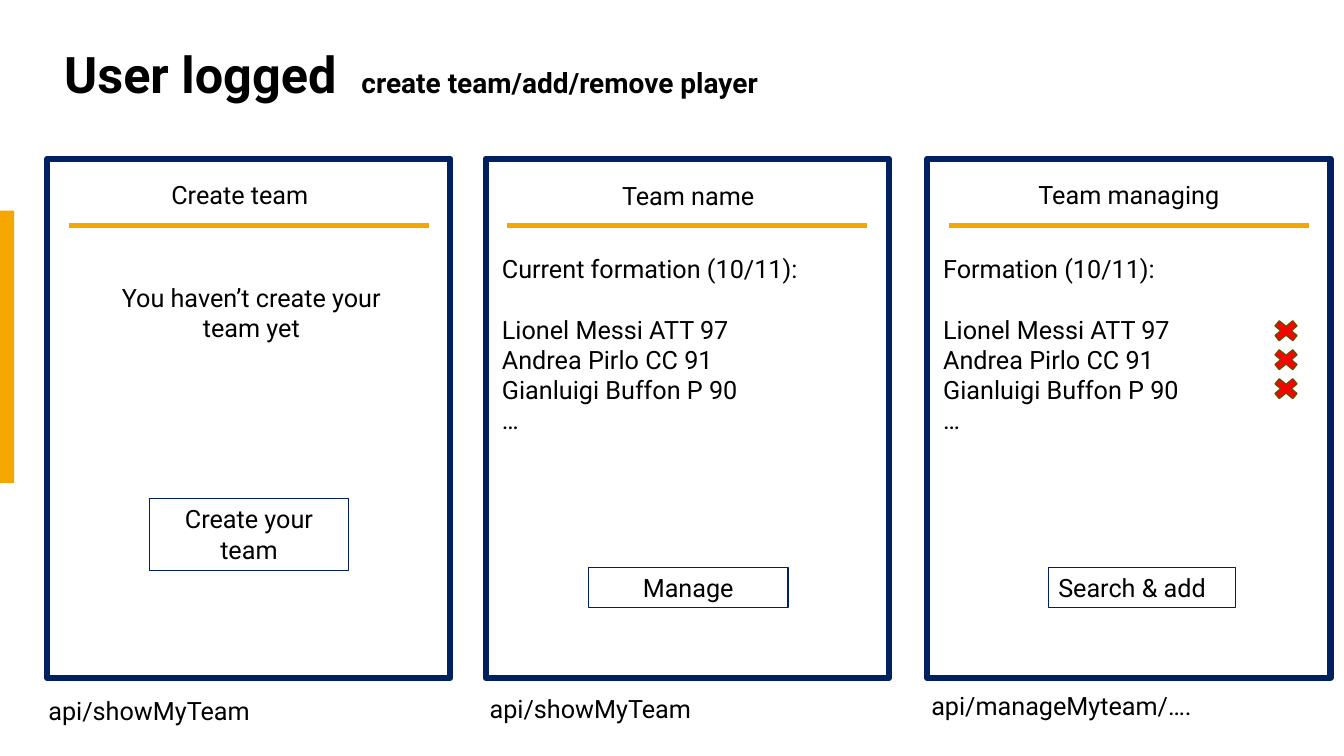
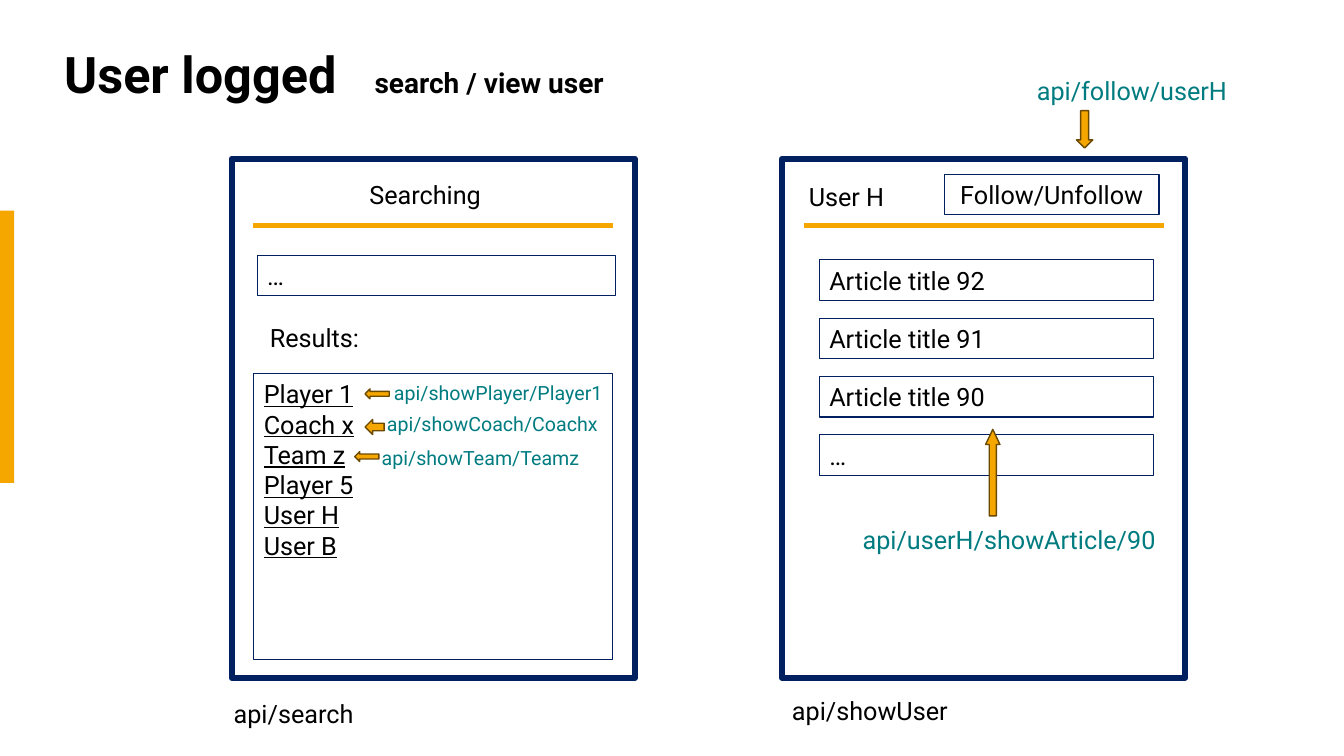
from dataclasses import dataclass

from lxml import etree
from pptx import Presentation
from pptx import util as u
from pptx.dml.color import RGBColor
from pptx.enum import shapes, text
from pptx.oxml.ns import qn


@dataclass(frozen=True)
class Theme:
    font: str = "Roboto"
    black: RGBColor = RGBColor(0x00, 0x00, 0x00)
    white: RGBColor = RGBColor(0xFF, 0xFF, 0xFF)
    navy: RGBColor = RGBColor(0x00, 0x20, 0x60)
    orange: RGBColor = RGBColor(0xF5, 0xA7, 0x00)
    brown: RGBColor = RGBColor(0x6B, 0x49, 0x00)
    red: RGBColor = RGBColor(0xFF, 0x00, 0x00)
    teal: RGBColor = RGBColor(0x00, 0x7C, 0x80)
    title: int = 36
    subtitle: int = 20
    body: int = 18
    small: int = 14


theme = Theme()
preset = shapes.MSO_SHAPE
left_aligned = text.PP_ALIGN.LEFT
centered = text.PP_ALIGN.CENTER


def add_figure(slide, kind, left, top, width, height, fill, line=None, weight=1):
    shape = slide.shapes.add_shape(kind, u.Cm(left), u.Cm(top), u.Cm(width), u.Cm(height))
    shape.shadow.inherit = False
    shape.fill.solid()
    shape.fill.fore_color.rgb = fill
    if line is None:
        shape.line.fill.background()
    else:
        shape.line.color.rgb = line
        shape.line.width = u.Pt(weight)
    return shape


def add_text(slide, left, top, width, lines, height=1.02, align=left_aligned,
             outlined=False, color=theme.black, size=theme.body, underline=None):
    box = slide.shapes.add_textbox(u.Cm(left), u.Cm(top), u.Cm(width), u.Cm(height))
    if outlined:
        box.line.color.rgb = theme.navy
        box.line.width = u.Pt(0.75)
    frame = box.text_frame
    frame.word_wrap = True
    frame.text = "\n".join(lines)
    for paragraph in frame.paragraphs:
        paragraph.alignment = align
        paragraph.font.name = theme.font
        paragraph.font.size = u.Pt(size)
        paragraph.font.color.rgb = color
        paragraph.font.underline = underline
    return frame


presentation = Presentation()
presentation.slide_width = u.Cm(33.87)
presentation.slide_height = u.Cm(19.05)

panel_top, panel_width, panel_height = 4.0, 10.16, 13.08
rule_inset, rule_drop = 0.54, 1.68

screens = [
    ("create team/add/remove player", 7.49, [
        (1.19, "Create team", 3.53, 4.39, 5.03, "api/showMyTeam", 0.97, 17.4),
        (12.24, "Team name", 15.29, 4.42, 4.11, "api/showMyTeam", 12.09, 17.35),
        (23.37, "Team managing", 25.58, 4.39, 5.74, "api/manageMyteam/….", 23.22, 17.27),
    ]),
    ("search / view user", 7.82, [
        (5.84, "Searching", 8.2, 4.39, 5.03, "api/search", 5.64, 17.48),
        (19.71, "User H", 19.05, 4.45, 4.57, "api/showUser", 19.71, 17.4),
    ]),
]

for subtitle, subtitle_tab, panels in screens:
    slide = presentation.slides.add_slide(presentation.slide_layouts[6])
    add_figure(slide, preset.RECTANGLE, 0, 5.31, 0.36, 6.86, theme.orange)

    title_box = slide.shapes.add_textbox(u.Cm(1.37), u.Cm(1.02), u.Cm(27.08), u.Cm(1.83))
    title_box.text_frame.word_wrap = True
    title_box.text_frame.vertical_anchor = text.MSO_ANCHOR.MIDDLE
    paragraph = title_box.text_frame.paragraphs[0]
    tabs = etree.SubElement(paragraph._p.get_or_add_pPr(), qn("a:tabLst"))
    etree.SubElement(tabs, qn("a:tab"), pos=str(u.Cm(subtitle_tab)), algn="l")
    paragraph.line_spacing = 0.9
    paragraph.font.name = theme.font
    paragraph.font.bold = True
    paragraph.font.color.rgb = theme.black
    for words, size in (("User logged\t", theme.title), (subtitle, theme.subtitle)):
        run = paragraph.add_run()
        run.text = words
        run.font.size = u.Pt(size)

    for (left, heading, heading_left, heading_top, heading_width,
         route, route_left, route_top) in panels:
        add_figure(slide, preset.RECTANGLE, left, panel_top, panel_width, panel_height,
                   theme.white, theme.navy, 4.5)
        rule_y = u.Cm(panel_top + rule_drop)
        rule = slide.shapes.add_connector(
            shapes.MSO_CONNECTOR.STRAIGHT, u.Cm(left + rule_inset), rule_y,
            u.Cm(left + panel_width - rule_inset), rule_y)
        rule.line.color.rgb = theme.orange
        rule.line.width = u.Pt(3)
        etree.SubElement(rule._element.spPr, qn("a:effectLst"))
        add_text(slide, heading_left, heading_top, heading_width, [heading], align=centered)
        add_text(slide, route_left, route_top, panel_width, [route])

team_slide, search_slide = presentation.slides

add_text(team_slide, 2.13, 6.98, 8.41, ["You haven’t create your team yet"],
         height=1.8, align=centered)
add_text(team_slide, 3.76, 12.57, 5.03, ["Create your team"],
         height=1.8, align=centered, outlined=True)
add_text(team_slide, 14.83, 14.3, 5.03, ["Manage"], align=centered, outlined=True)
add_text(team_slide, 26.42, 14.3, 4.72, ["Search & add"], outlined=True)

players = ["Lionel Messi ATT 97", "Andrea Pirlo CC 91", "Gianluigi Buffon P 90"]
for left, heading in ((12.4, "Current formation (10/11):"), (23.52, "Formation (10/11):")):
    frame = add_text(team_slide, left, 6.27, 8.41, [heading, *players, "…"], height=4.88)
    frame.paragraphs[1].space_before = u.Pt(21.5)
for row in range(len(players)):
    add_figure(team_slide, preset.MATH_MULTIPLY, 31.98, 7.98 + row * 0.73, 0.86, 0.71,
               theme.red, theme.brown)

add_text(search_slide, 6.48, 6.43, 9.04, ["…"], outlined=True)
add_text(search_slide, 5.41, 8.0, 5.03, ["Results:"], align=centered)
add_text(search_slide, 6.4, 9.42, 9.04,
         ["Player 1", "Coach x", "Team z", "Player 5", "User H", "User B"],
         height=7.19, outlined=True, underline=True)
for left, top, route in ((9.68, 9.47, "api/showPlayer/Player1"),
                         (9.5, 10.26, "api/showCoach/Coachx"),
                         (9.37, 11.1, "api/showTeam/Teamz")):
    add_text(search_slide, left, top, panel_width, [route], height=0.86,
             color=theme.teal, size=theme.small)

add_text(search_slide, 23.8, 4.39, 5.41, ["Follow/Unfollow"], align=centered, outlined=True)
articles = ["Article title 92", "Article title 91", "Article title 90", "…"]
for row, article in enumerate(articles):
    add_text(search_slide, 20.65, 6.55 + row * 1.47, 8.41, [article], outlined=True)
add_text(search_slide, 25.88, 1.78, 7.6, ["api/follow/userH"], color=theme.teal)
add_text(search_slide, 21.49, 13.08, panel_width, ["api/userH/showArticle/90"],
         color=theme.teal)

for kind, left, top, width, height in (
        (preset.LEFT_ARROW, 9.2, 9.8, 0.61, 0.25),
        (preset.LEFT_ARROW, 9.2, 10.57, 0.48, 0.38),
        (preset.LEFT_ARROW, 8.94, 11.38, 0.61, 0.25),
        (preset.DOWN_ARROW, 27.13, 2.79, 0.41, 0.94)):
    add_figure(search_slide, kind, left, top, width, height, theme.orange, theme.brown)
article_arrow = add_figure(search_slide, preset.UP_ARROW, 24.84, 10.82, 0.36, 2.18,
                           theme.orange, theme.brown)
article_arrow.adjustments[1] = 1.06

presentation.save("out.pptx")
